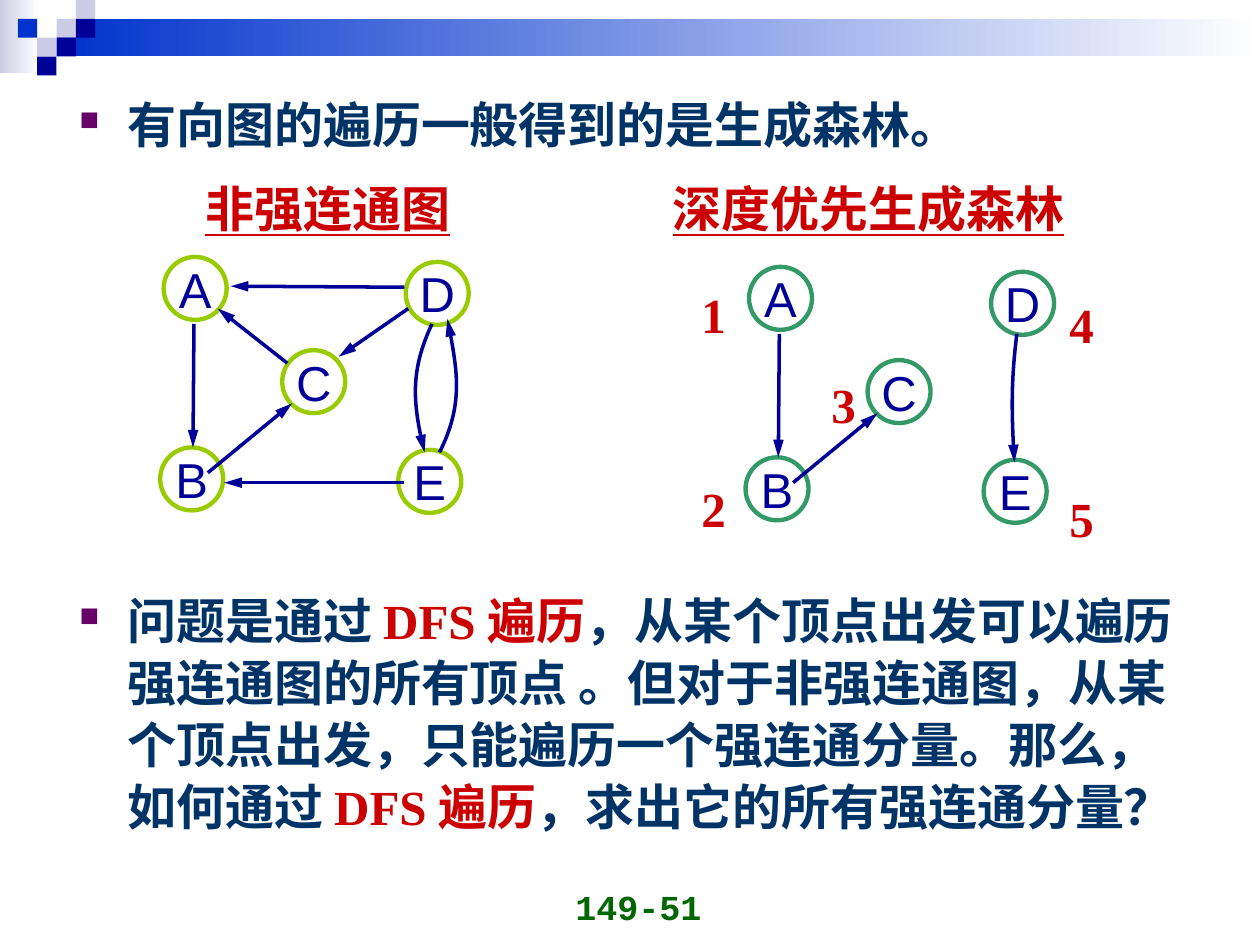
from lxml import etree
from pptx import Presentation
from pptx.dml.color import RGBColor
from pptx.enum.shapes import MSO_CONNECTOR, MSO_SHAPE
from pptx.enum.text import MSO_ANCHOR, PP_ALIGN
from pptx.oxml.ns import qn
from pptx.util import Cm, Pt

RECT = MSO_SHAPE.RECTANGLE
OVAL = MSO_SHAPE.OVAL
LINE = MSO_CONNECTOR.STRAIGHT
MID = MSO_ANCHOR.MIDDLE
LOW = MSO_ANCHOR.BOTTOM
CENTER = PP_ALIGN.CENTER

WHITE = RGBColor(0xFF, 0xFF, 0xFF)
PALE = RGBColor(0xCC, 0xCC, 0xE6)
BLUE = RGBColor(0x00, 0x33, 0xCC)
NAVY = RGBColor(0x00, 0x00, 0x99)
INK = RGBColor(0x00, 0x33, 0x66)
RED = RGBColor(0xCC, 0x00, 0x00)
GREEN = RGBColor(0x00, 0x66, 0x00)
LIME = RGBColor(0x99, 0xCC, 0x00)
TEAL = RGBColor(0x33, 0x99, 0x66)

SANS = "Arial"
SERIF = "Times New Roman"
MONO = "Courier New"

NODES = {"A": (3.3, 5.18), "B": (3.23, 9.02), "C": (5.69, 7.06),
         "D": (8.18, 5.28), "E": (8.03, 9.07)}
A_TO_B = (3.91, 6.53), (3.89, 9.02)
B_TO_C = (4.19, 9.53), (5.89, 8.13)
GRAPH = [
    A_TO_B,
    B_TO_C,
    ((5.79, 7.32), (4.39, 6.22)),
    ((8.15, 5.79), (4.65, 5.77)),
    ((8.23, 6.22), (6.83, 7.19)),
    ((8.15, 9.73), (4.52, 9.73)),
    ((8.71, 6.53), (8.3, 7.4), (8.32, 8.2), (8.56, 9.12)),
    ((8.86, 9.12), (9.33, 8.2), (9.2, 7.3), (9.02, 6.43)),
]
FOREST = [
    A_TO_B,
    B_TO_C,
    ((8.7, 6.53), (8.59, 7.4), (8.59, 8.2), (8.65, 9.12)),
]
SQUARES = [(2, 1, PALE), (3, 0, PALE), (3, 1, NAVY), (1, 2, PALE),
           (0, 1, BLUE), (2, 2, NAVY), (1, 3, NAVY)]
ORDER = [("1", 13.89, 5.61), ("2", 13.89, 9.53), ("3", 16.51, 7.42),
         ("4", 21.31, 5.82), ("5", 21.31, 9.73)]
TOPIC = [("有向图的遍历一般得到的是生成森林。", INK)]
ASK = [
    ("问题是通过 ", INK),
    ("DFS 遍历", RED),
    ("，从某个顶点出发可以遍历强连通图的所有顶点 。但对于非强连通图，"
     "从某个顶点出发，只能遍历一个强连通分量。那么，如何通过 ", INK),
    ("DFS 遍历", RED),
    ("，求出它的所有强连通分量？", INK),
]


def style(font, face, color, size=28, bold=True):
    """Set the face, colour, size and weight of a font."""
    font.name, font.size, font.bold = face, Pt(size), bold
    font.color.rgb = color


def add_block(slide, x, y, w, h, color, fade=False):
    """Add a borderless block, plain or fading to white."""
    block = slide.shapes.add_shape(RECT, Cm(x), Cm(y), Cm(w), Cm(h))
    block.shadow.inherit = False
    block.line.fill.background()
    if fade:
        block.fill.gradient()
        block.fill.gradient_angle = 0
        for stop, tone in zip(block.fill.gradient_stops, (color, WHITE)):
            stop.color.rgb = tone
    else:
        block.fill.solid()
        block.fill.fore_color.rgb = color


def add_text(slide, text, x, y, w, h, face, color, size=28):
    """Add a one-line bold label and return its text frame."""
    frame = slide.shapes.add_textbox(Cm(x), Cm(y), Cm(w), Cm(h)).text_frame
    frame.word_wrap = True
    frame.text = text
    style(frame.paragraphs[0].font, face, color, size)
    return frame


def add_head(slide, text, x, w):
    """Add an underlined heading above a drawing."""
    frame = add_text(slide, text, x, 3.38, w, 1.85, SERIF, RED)
    frame.vertical_anchor = MID
    para = frame.paragraphs[0]
    para.line_spacing = 0.8
    para.font.underline = True


def add_point(slide, parts, y, h, face):
    """Add a bulleted paragraph made of coloured parts."""
    frame = slide.shapes.add_textbox(Cm(1.35), Cm(y), Cm(22.86), Cm(h)).text_frame
    frame.word_wrap = True
    para = frame.paragraphs[0]
    para.line_spacing = 1.05
    props = para._p.get_or_add_pPr()
    props.set("marL", str(Cm(0.97)))
    props.set("indent", str(Cm(-0.97)))
    tint = etree.SubElement(props, qn("a:buClr"))
    etree.SubElement(tint, qn("a:srgbClr"), val="660066")
    etree.SubElement(props, qn("a:buSzPct"), val="55000")
    etree.SubElement(props, qn("a:buChar"), char="■")
    style(para.font, face, INK)
    for text, color in parts:
        run = para.add_run()
        run.text = text
        if color != INK:
            run.font.color.rgb = color


def add_curve(slide, points):
    """Add an open cubic curve from its four control points."""
    start, *rest = points
    build = slide.shapes.build_freeform(*start)
    build.add_line_segments(rest, close=False)
    curve = build.convert_to_shape()
    curve.fill.background()
    route = curve.element.find(".//" + qn("a:path"))
    bend = etree.SubElement(route, qn("a:cubicBezTo"))
    for step in route.findall(qn("a:lnTo")):
        bend.append(step[0])
        route.remove(step)
    return curve


def add_edge(slide, points, dx, dy):
    """Add an arrow, straight for two points and curved for four."""
    spots = [(Cm(x + dx), Cm(y + dy)) for x, y in points]
    if len(spots) == 2:
        edge = slide.shapes.add_connector(LINE, *spots[0], *spots[1])
    else:
        edge = add_curve(slide, spots)
    edge.line.color.rgb = NAVY
    edge.line.width = Pt(2)
    props = edge.element.spPr
    etree.SubElement(props.find(qn("a:ln")), qn("a:tailEnd"),
                     type="triangle", w="med", len="lg")
    etree.SubElement(props, qn("a:effectLst"))


def add_node(slide, name, x, y, color):
    """Add a ringed vertex with its letter."""
    node = slide.shapes.add_shape(OVAL, Cm(x), Cm(y), Cm(1.27), Cm(1.27))
    node.shadow.inherit = False
    node.fill.solid()
    node.fill.fore_color.rgb = WHITE
    node.line.color.rgb = color
    node.line.width = Pt(2.5)
    frame = node.text_frame
    frame.margin_left = frame.margin_right = 0
    frame.margin_top = frame.margin_bottom = 0
    frame.word_wrap = False
    frame.vertical_anchor = MID
    frame.text = name
    para = frame.paragraphs[0]
    para.alignment = CENTER
    style(para.font, SANS, NAVY, bold=False)


def add_graph(slide, edges, color, dx=0, dy=0):
    """Add the five vertices and the given edges, shifted."""
    for name, (x, y) in NODES.items():
        add_node(slide, name, x + dx, y + dy, color)
    for points in edges:
        add_edge(slide, points, dx, dy)


def main():
    """Build the slide and save it."""
    deck = Presentation()
    deck.slide_width, deck.slide_height = Cm(25.4), Cm(19.05)
    slide = deck.slides.add_slide(deck.slide_layouts[6])
    add_block(slide, 0, 0, 0.79, 1.47, PALE, fade=True)
    add_block(slide, 1.14, 0.38, 24.26, 0.76, BLUE, fade=True)
    for col, row, color in SQUARES:
        add_block(slide, 0.36 + 0.39 * col, 0.38 * row, 0.39, 0.38, color)
    add_point(slide, TOPIC, 1.73, 1.5, SANS)
    add_head(slide, "非强连通图", 3.89, 6)
    add_head(slide, "深度优先生成森林", 13.31, 10.5)
    add_graph(slide, GRAPH, LIME)
    add_graph(slide, FOREST, TEAL, 11.8, 0.2)
    for mark, x, y in ORDER:
        add_text(slide, mark, x, y, 1.07, 1.45, SERIF, RED)
    add_point(slide, ASK, 11.73, 6.45, SERIF)
    page = add_text(slide, "149-51", 9.91, 17.55, 5.92, 1.27, MONO, GREEN, 20)
    page.vertical_anchor = LOW
    page.paragraphs[0].alignment = CENTER
    deck.save("out.pptx")


if __name__ == "__main__":
    main()
